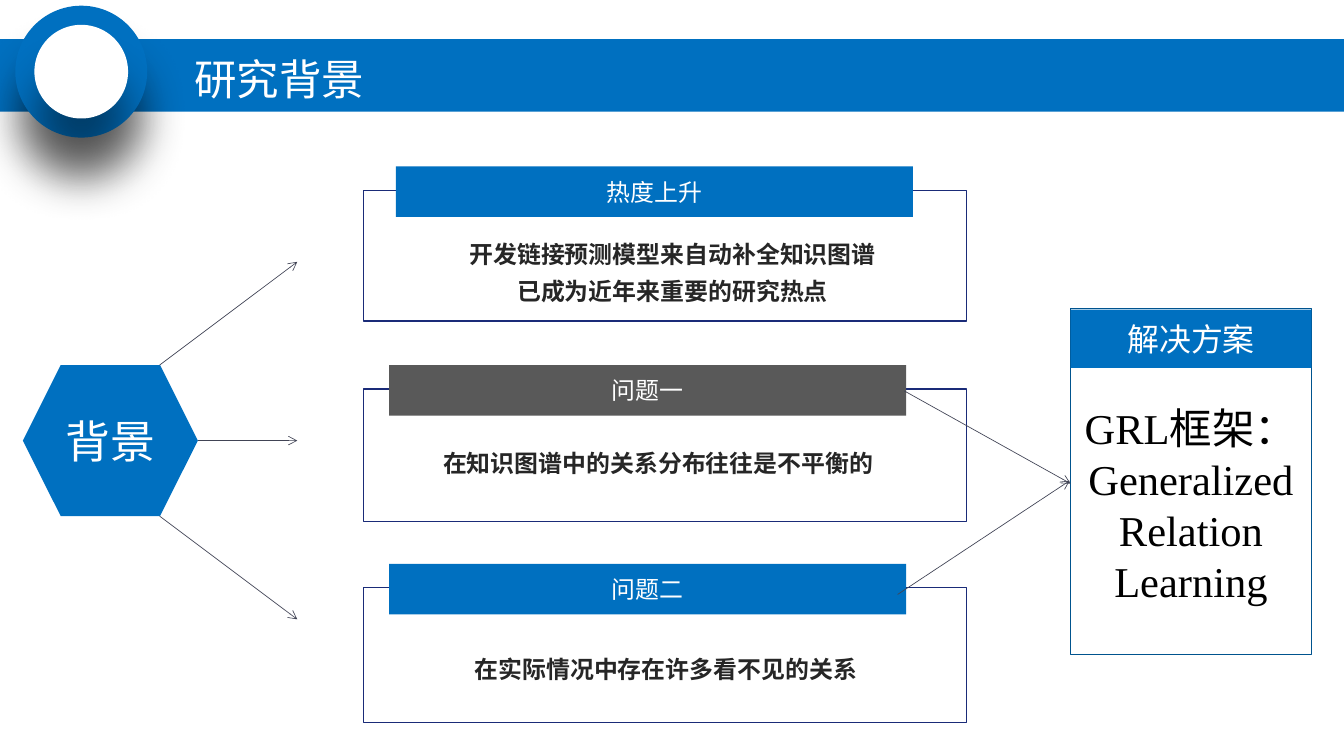
from dataclasses import dataclass

from lxml.etree import SubElement
from pptx import Presentation
from pptx.dml.color import RGBColor
from pptx.enum.shapes import MSO_CONNECTOR, MSO_SHAPE
from pptx.enum.text import MSO_ANCHOR, PP_ALIGN
from pptx.oxml.ns import qn
from pptx.util import Inches, Pt


@dataclass(frozen=True)
class Theme:
    blue: str = "0070C0"
    gray: str = "595959"
    white: str = "FFFFFF"
    black: str = "000000"
    ink: str = "262626"
    frame: str = "1A2B78"
    panel: str = "00538E"
    arrow: str = "414455"
    label_font: str = "Arial Narrow"
    cjk_font: str = "Noto Sans CJK SC"
    serif_font: str = "Times New Roman"
    small: float = 18
    medium: float = 24
    large: float = 32
    hexagon: float = 33.8


class Deck:
    """Draws styled elements on the current slide."""

    def __init__(self, prs, theme):
        self.theme = theme
        self.s = prs.slides.add_slide(prs.slide_layouts[5])

    def set_text(self, sp, lines, size, color, font, bold=False, spacing=None,
                 align=PP_ALIGN.CENTER, anchor=MSO_ANCHOR.MIDDLE):
        tf = sp.text_frame
        tf.word_wrap = True
        tf.vertical_anchor = anchor
        tf.margin_left = tf.margin_right = Inches(0.1)
        tf.margin_top = tf.margin_bottom = Inches(0.05)
        for i, line in enumerate(lines):
            p = tf.paragraphs[0] if i == 0 else tf.add_paragraph()
            p.text = line
            p.alignment = align
            p.line_spacing = spacing
            p.font.size = Pt(size)
            p.font.bold = bold
            p.font.color.rgb = RGBColor.from_string(color)
            p.font.name = font
            ea = SubElement(p._p.pPr.find(qn("a:defRPr")), qn("a:ea"))
            ea.set("typeface", self.theme.cjk_font)

    def shape(self, kind, box, fill=None, line=None):
        sp = self.s.shapes.add_shape(kind, *map(Inches, box))
        sp.shadow.inherit = False
        if fill:
            sp.fill.solid()
            sp.fill.fore_color.rgb = RGBColor.from_string(fill)
        else:
            sp.fill.background()
        if line:
            sp.line.color.rgb = RGBColor.from_string(line)
            sp.line.width = Pt(1)
        else:
            sp.line.fill.background()
        return sp

    def label(self, kind, box, text, size, fill):
        sp = self.shape(kind, box, fill)
        self.set_text(sp, [text], size, self.theme.white, self.theme.label_font)

    def disc(self, box, fill):
        sp = self.shape(MSO_SHAPE.OVAL, box, fill)
        effects = sp.element.spPr.find(qn("a:effectLst"))
        shadow = SubElement(effects, qn("a:outerShdw"), blurRad=str(Pt(33)),
                            dist=str(Pt(33)), dir="5400000", rotWithShape="0")
        color = SubElement(shadow, qn("a:srgbClr"), val=self.theme.black)
        SubElement(color, qn("a:alpha"), val="43000")

    def text(self, box, lines, size, color, font, bold=False, spacing=None):
        sp = self.s.shapes.add_textbox(*map(Inches, box))
        self.set_text(sp, lines, size, color, font, bold, spacing, anchor=MSO_ANCHOR.TOP)

    def title(self, box, text):
        sp = self.s.shapes.title
        sp.left, sp.top, sp.width, sp.height = map(Inches, box)
        self.set_text(sp, [text], self.theme.large, self.theme.white,
                      self.theme.label_font, spacing=0.9, align=PP_ALIGN.LEFT)
        self.s.shapes.element.append(sp.element)

    def arrow(self, start, end):
        cx = self.s.shapes.add_connector(
            MSO_CONNECTOR.STRAIGHT, *map(Inches, (*start, *end)))
        cx.line.color.rgb = RGBColor.from_string(self.theme.arrow)
        cx.line.width = Pt(0.5)
        props = cx.element.spPr
        SubElement(props.find(qn("a:ln")), qn("a:tailEnd"), type="arrow")
        SubElement(props, qn("a:effectLst"))


def main():
    prs = Presentation()
    prs.slide_width, prs.slide_height = Inches(14.06), Inches(7.91)
    theme = Theme()
    deck = Deck(prs, theme)
    rect = MSO_SHAPE.RECTANGLE

    deck.shape(rect, (0, 0.41, 14.06, 0.76), theme.blue)
    deck.disc((0.16, 0.06, 1.38, 1.38), theme.blue)
    deck.disc((0.36, 0.26, 0.98, 0.98), theme.white)
    deck.title((1.93, 0.58, 3.47, 0.55), "研究背景")

    deck.label(MSO_SHAPE.HEXAGON, (0.24, 3.82, 1.83, 1.58), "背景",
               theme.hexagon, theme.blue)
    for start, end_y in (((1.67, 3.82), 2.74), ((2.07, 4.61), 4.61), ((1.67, 5.4), 6.48)):
        deck.arrow(start, (3.11, end_y))

    cards = [
        ("热度上升", 4.14, theme.blue, (4.61, 2.37, 4.85, 0.84),
         ["开发链接预测模型来自动补全知识图谱", "已成为近年来重要的研究热点"]),
        ("问题一", 4.07, theme.gray, (3.75, 4.56, 6.27, 0.5),
         ["在知识图谱中的关系分布往往是不平衡的"]),
        ("问题二", 4.07, theme.blue, (3.83, 6.71, 6.27, 0.5),
         ["在实际情况中存在许多看不见的关系"]),
    ]
    for i, (heading, tab_left, fill, body_box, lines) in enumerate(cards):
        top = 1.74 + 2.08 * i
        deck.shape(rect, (3.8, top + 0.25, 6.31, 1.37 + 0.02 * i), line=theme.frame)
        deck.label(rect, (tab_left, top, 5.41, 0.53), heading, theme.small, fill)
        deck.text(body_box, lines, theme.small, theme.ink, theme.cjk_font,
                  bold=True, spacing=1.3)

    deck.shape(rect, (11.2, 3.23, 2.52, 3.62), theme.white, theme.panel)
    deck.text((11.19, 4.16, 2.54, 2.25),
              ["GRL框架：", "Generalized", "Relation", "Learning"],
              theme.large, theme.black, theme.serif_font)
    deck.label(rect, (11.2, 3.24, 2.52, 0.61), "解决方案", theme.medium, theme.blue)
    deck.arrow((9.46, 4.09), (11.2, 5.06))
    deck.arrow((9.39, 6.22), (11.19, 5.03))

    prs.save("out.pptx")


if __name__ == "__main__":
    main()
